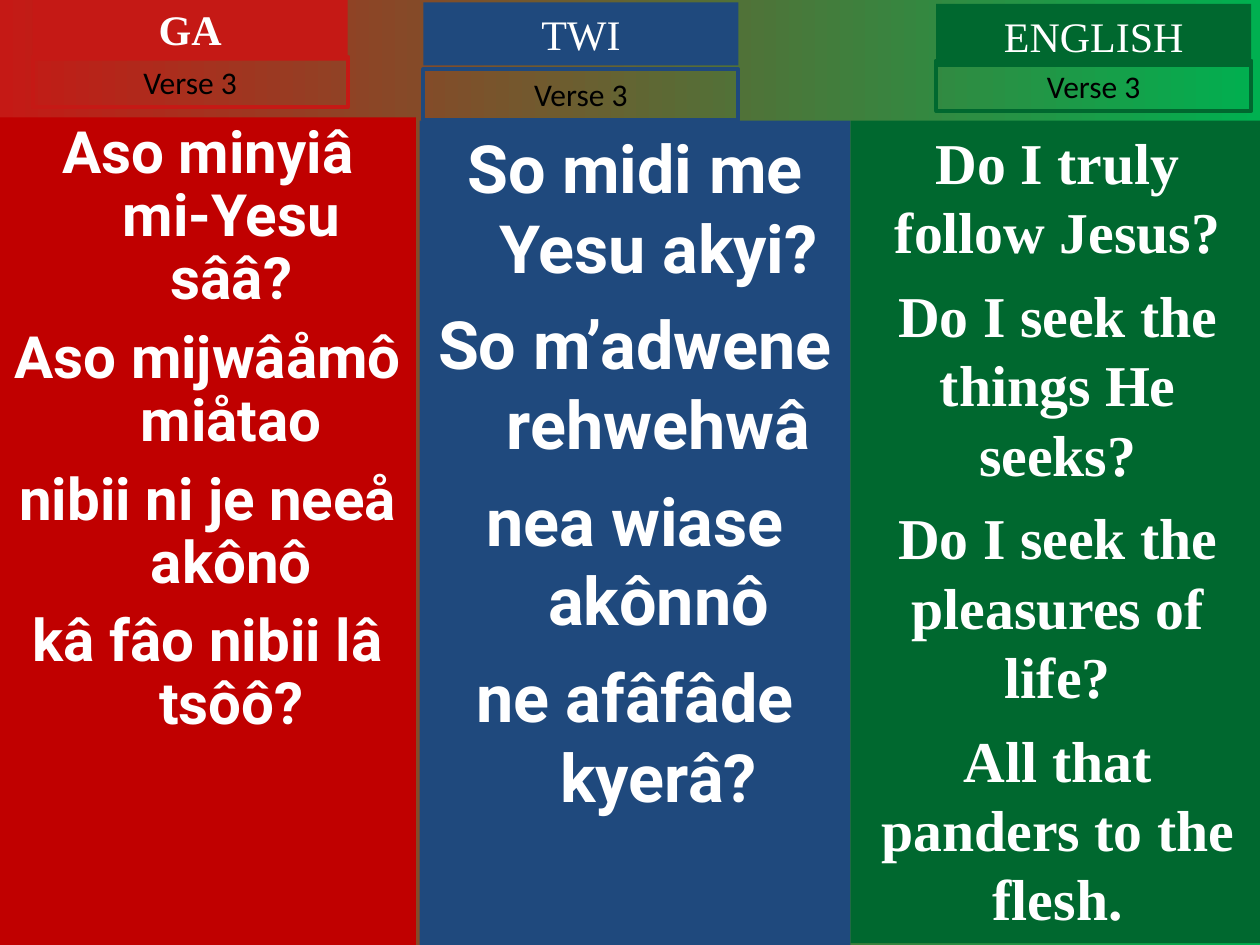
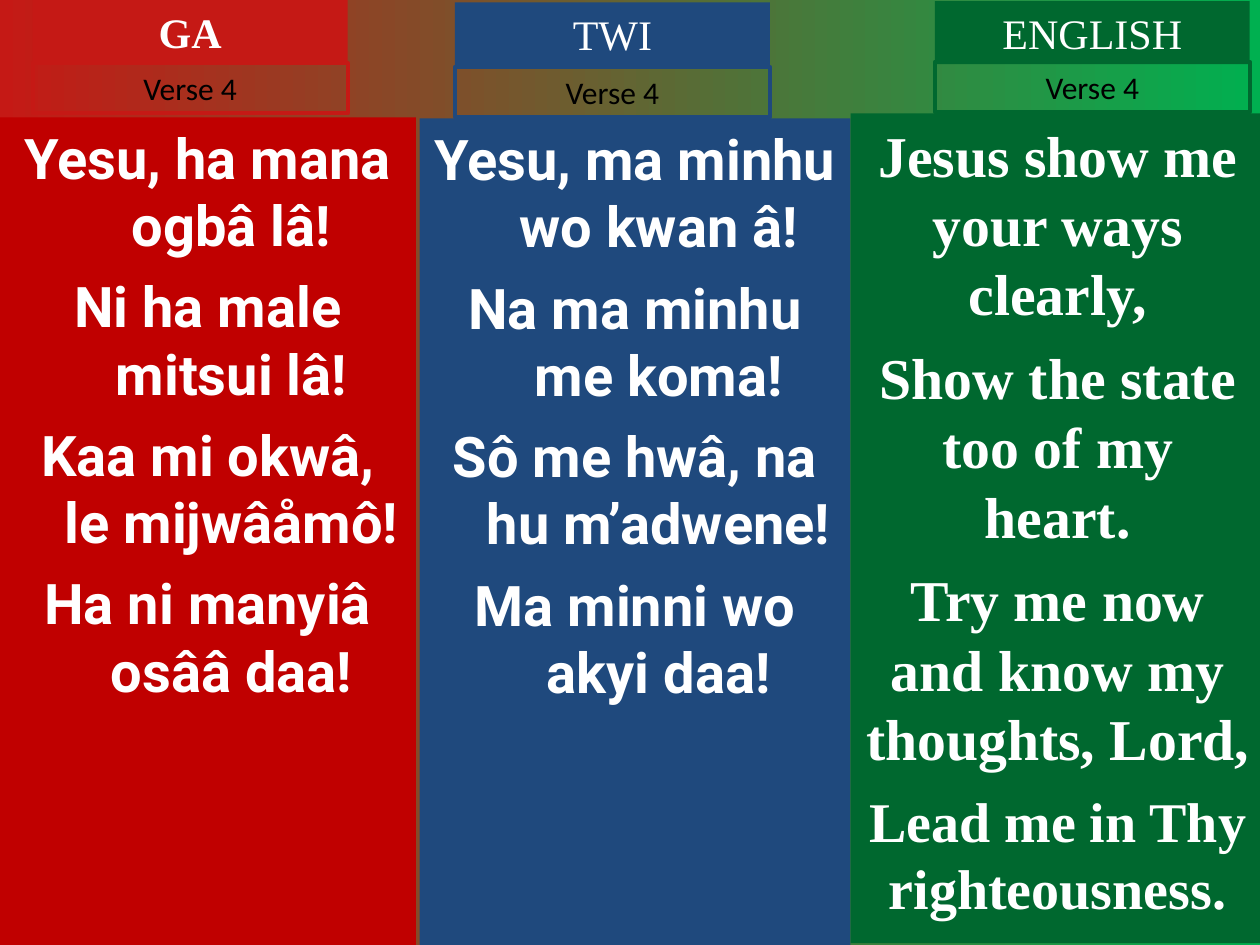
from dataclasses import dataclass

from lxml.etree import SubElement
from pptx import Presentation
from pptx.dml.color import RGBColor
from pptx.enum.shapes import MSO_SHAPE
from pptx.enum.text import MSO_ANCHOR, MSO_AUTO_SIZE, PP_ALIGN
from pptx.oxml.ns import qn
from pptx.shapes.base import BaseShape
from pptx.slide import Slide
from pptx.util import Pt

COLOURS = {
    "ga_label": "C51915",
    "ga_panel": "C00000",
    "twi": "1F497D",
    "english": "00682F",
    "sky_end": "00B050",
    "white": "FFFFFF",
    "black": "000000",
}
FRAME_FORMAT = {
    "word_wrap": True,
    "auto_size": MSO_AUTO_SIZE.NONE,
    "vertical_anchor": MSO_ANCHOR.TOP,
    "margin_left": Pt(7.2),
    "margin_right": Pt(7.2),
    "margin_top": Pt(3.6),
    "margin_bottom": Pt(3.6),
}
LABEL_WIDTH, LABEL_HEIGHT, VERSE_HEIGHT = 180, 36, 28.8


@dataclass(frozen=True)
class Language:
    name: str
    label_colour: str
    panel_colour: str
    panel_left: float
    panel_width: float
    lyric_font: str
    hanging: float
    label_bold: bool
    label_slot: int | None
    panel_slot: int | None


@dataclass(frozen=True)
class Column:
    language: Language
    label_left: float
    label_top: float
    verse_top: float
    panel_top: float
    panel_bottom: float
    sizes: tuple[float, ...]
    gap: float
    spacing: float
    lines: tuple[str, ...]


GA = Language("GA", "ga_label", "ga_panel", 0, 237.6, "Roboto", 27, True, 0, 1)
TWI = Language("TWI", "twi", "twi", 239.8, 246.2, "Roboto", 27, False, None, 2)
ENGLISH = Language("ENGLISH", "english", "english", 486, 236.9,
                   "Times New Roman", 0, False, None, None)

VERSES = {
    "Verse 3": (
        Column(GA, 18.7, -1.4, 32.4, 67, 540, (33.3,) * 4, 9, 0.9, (
            "Aso minyiâ mi-Yesu sââ?",
            "Aso mijwâåmô miåtao",
            "nibii ni je neeå akônô",
            "kâ fâo nibii lâ tsôô?")),
        Column(TWI, 242, 1.4, 39.6, 69, 540, (38,) * 4, 9.5, 1, (
            "So midi me Yesu akyi?",
            "So m’adwene rehwehwâ",
            "nea wiase akônnô",
            "ne afâfâde kyerâ?")),
        Column(ENGLISH, 535, 2.2, 34.6, 69, 539, (33,) * 4, 8.2, 1, (
            "Do I truly follow Jesus?",
            "Do I seek the things He seeks?",
            "Do I seek the pleasures of life?",
            "All that panders to the flesh.")),
    ),
    "Verse 4": (
        Column(GA, 18.7, 0, 36, 67, 540, (32,) * 4, 8, 1, (
            "Yesu, ha mana ogbâ lâ!",
            "Ni ha male mitsui lâ!",
            "Kaa mi okwâ, le mijwâåmô!",
            "Ha ni manyiâ osââ daa!")),
        Column(TWI, 260, 1.4, 38.2, 67.7, 540, (32,) * 4, 8, 1, (
            "Yesu, ma minhu wo kwan â!",
            "Na ma minhu me koma!",
            "Sô me hwâ, na hu m’adwene!",
            "Ma minni wo akyi daa!")),
        Column(ENGLISH, 534.2, 0.7, 35.3, 64.8, 539, (33, 33, 33, 32), 8.2, 1, (
            "Jesus show me your ways clearly,",
            "Show the state too of my heart.",
            "Try me now and know my thoughts, Lord,",
            "Lead me in Thy righteousness.")),
    ),
}


def colour(key: str) -> RGBColor:
    return RGBColor.from_string(COLOURS[key])


def apply(target: object, values: dict) -> None:
    for attribute, value in values.items():
        setattr(target, attribute, value)


def add_box(slide: Slide, slot: int | None, left: float, top: float,
            width: float, height: float) -> BaseShape:
    bounds = [Pt(value) for value in (left, top, width, height)]
    if slot is None:
        box = slide.shapes.add_shape(MSO_SHAPE.RECTANGLE, *bounds)
        box.shadow.inherit = False
    else:
        box = slide.placeholders[slot]
        apply(box, dict(zip(("left", "top", "width", "height"), bounds)))
    apply(box.text_frame, FRAME_FORMAT)
    return box


def fill_box(box: BaseShape, key: str) -> None:
    box.fill.solid()
    box.fill.fore_color.rgb = colour(key)
    box.line.fill.background()


def write(box: BaseShape, lines: tuple[str, ...], sizes: tuple[float, ...],
          font: str, ink: str, bold: bool, hanging: float = 0,
          gap: float = 0, spacing: float = 1) -> None:
    frame = box.text_frame
    for index, (line, size) in enumerate(zip(lines, sizes)):
        paragraph = frame.add_paragraph() if index else frame.paragraphs[0]
        properties = paragraph._p.get_or_add_pPr()
        properties.set("marL", str(Pt(hanging)))
        properties.set("indent", str(-Pt(hanging)))
        SubElement(properties, qn("a:buNone"))
        apply(paragraph, {
            "alignment": PP_ALIGN.CENTER,
            "line_spacing": spacing,
            "space_before": Pt(gap if index else 0),
        })
        lyric = paragraph.add_run()
        lyric.text = line
        apply(lyric.font, {"name": font, "size": Pt(size), "bold": bold})
        lyric.font.color.rgb = colour(ink)


def draw_column(slide: Slide, column: Column, verse: str) -> None:
    language = column.language
    panel = add_box(slide, language.panel_slot, language.panel_left,
                    column.panel_top, language.panel_width,
                    column.panel_bottom - column.panel_top)
    fill_box(panel, language.panel_colour)
    write(panel, column.lines, column.sizes, language.lyric_font, "white", True,
          language.hanging, column.gap, column.spacing)

    label = add_box(slide, language.label_slot, column.label_left,
                    column.label_top, LABEL_WIDTH, LABEL_HEIGHT)
    fill_box(label, language.label_colour)
    write(label, (language.name,), (24,), "Times New Roman", "white",
          language.label_bold)

    verse_box = add_box(slide, None, column.label_left, column.verse_top,
                        LABEL_WIDTH, VERSE_HEIGHT)
    verse_box.fill.background()
    verse_box.line.color.rgb = colour(language.label_colour)
    verse_box.line.width = Pt(2.25)
    write(verse_box, (verse,), (18,), "Calibri", "black", False)


def paint_background(slide: Slide) -> None:
    fill = slide.background.fill
    fill.gradient()
    fill.gradient_angle = 0
    for stop, position, key in zip(fill.gradient_stops, (0, 1),
                                   ("ga_label", "sky_end")):
        stop.position = position
        stop.color.rgb = colour(key)


def main() -> None:
    deck = Presentation()
    apply(deck, {"slide_width": Pt(720), "slide_height": Pt(540)})
    two_content = deck.slide_layouts[3]
    for verse, columns in VERSES.items():
        slide = deck.slides.add_slide(two_content)
        paint_background(slide)
        for column in columns:
            draw_column(slide, column, verse)
    deck.save("out.pptx")


if __name__ == "__main__":
    main()
